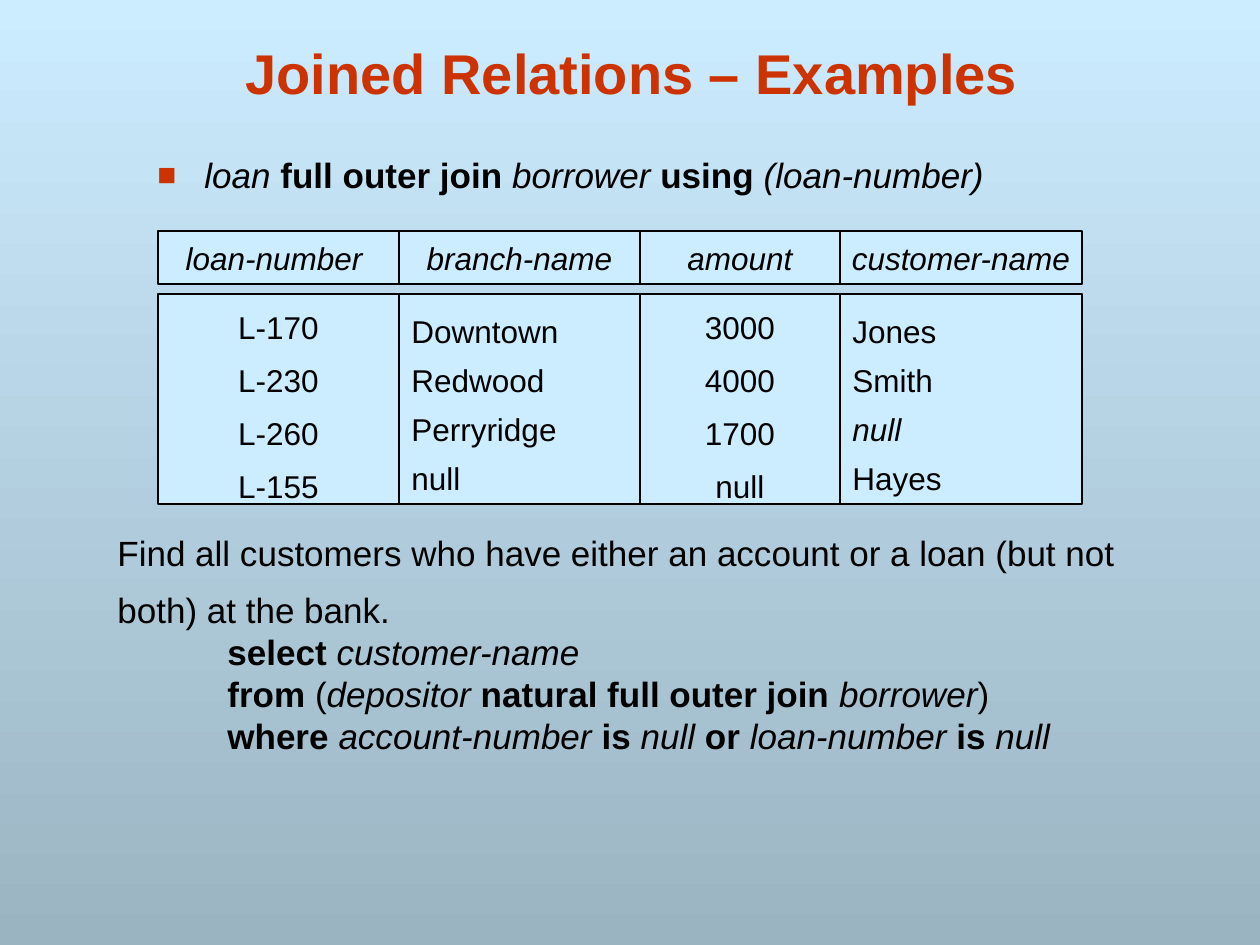
from lxml.etree import SubElement as Sub
from pptx import Presentation
from pptx.dml.color import RGBColor as RGB
from pptx.enum.shapes import MSO_SHAPE as Shape
from pptx.enum.text import MSO_ANCHOR as Anchor, PP_ALIGN as Align
from pptx.oxml.ns import qn
from pptx.util import Emu, Inches, Pt

INK = {"title": "CC3300", "text": "000000", "cell": "CCECFF", "base": "9BB4C2"}


def px(n):
    return Emu(round(n * 914400 / 126))


def write(para, runs, size, ink="text"):
    for text, style in runs:
        if text.startswith("\t"):
            para.add_line_break()
        run = para.add_run()
        run.text = text
        if "b" in style:
            run.font.bold = True
        if "i" in style:
            run.font.italic = True
    font = para.font
    font.name, font.size = "Arial", Pt(size)
    font.color.rgb = RGB.from_string(INK[ink])


deck = Presentation()
deck.slide_width, deck.slide_height = px(1260), px(945)
slide = deck.slides.add_slide(deck.slide_layouts[6])
fill = slide.background.fill
fill.gradient()
fill.gradient_angle = 270
for stop, name, pos in zip(fill.gradient_stops, ("cell", "base"), (0, 1)):
    stop.color.rgb = RGB.from_string(INK[name])
    stop.position = pos

frames = []
for box in ((76, 28, 1112, 84), (145, 147, 937, 57), (105, 525, 1050, 273)):
    frame = slide.shapes.add_textbox(*map(px, box)).text_frame
    frame.word_wrap = True
    frames.append(frame)
title, point, query = frames

title.vertical_anchor = Anchor.BOTTOM
para = title.paragraphs[0]
para.alignment = Align.CENTER
write(para, [("Joined Relations – Examples", "b")], 32, "title")

para = point.paragraphs[0]
props = para._p.get_or_add_pPr()
props.set("marL", str(px(47)))
props.set("indent", str(px(-47)))
Sub(Sub(props, qn("a:buClr")), qn("a:srgbClr"), val=INK["title"])
Sub(props, qn("a:buSzPct"), val="90000")
Sub(props, qn("a:buFont"), typeface="Arial")
Sub(props, qn("a:buChar"), char="■")
write(para, [("loan ", "i"), ("full outer join ", "b"), ("borrower ", "i"),
             ("using ", "b"), ("(loan-number)", "i")], 20)

cols = [
    (158, 399, "loan-number ", ["L-170", "L-230", "L-260", "L-155"], True),
    (399, 640, "branch-name", ["Downtown", "Redwood", "Perryridge", "null"], False),
    (640, 840, "amount", ["3000", "4000", "1700", "null"], True),
    (840, 1082, "customer-name", ["Jones", "Smith", "null", "Hayes"], False),
]
for left, right, head, items, mid in cols:
    for top, high, lines in ((231, 53, [head]), (294, 210, items)):
        cell = slide.shapes.add_shape(
            Shape.RECTANGLE, px(left), px(top), px(right - left), px(high))
        cell.shadow.inherit = False
        cell.fill.solid()
        cell.fill.fore_color.rgb = RGB.from_string(INK["cell"])
        cell.line.color.rgb = RGB.from_string(INK["text"])
        cell.line.width = Pt(1)
        frame = cell.text_frame
        frame.word_wrap = False
        frame.vertical_anchor = Anchor.MIDDLE
        for n, line in enumerate(lines):
            para = frame.add_paragraph() if n else frame.paragraphs[0]
            title_row = lines is not items
            para.alignment = Align.CENTER if mid or title_row else Align.LEFT
            if not title_row:
                para.line_spacing = 1.4 if mid else 1.3
            slant = title_row or (head == "customer-name" and line == "null")
            write(para, [(line, "i" if slant else "")], 18)

parts = [
    [("Find all customers who have either an account or a loan (but not", "")],
    [("both) at the bank.", ""),
     ("\tselect ", "b"), ("customer-name", "i"),
     ("\tfrom ", "b"), ("(", ""), ("depositor ", "i"),
     ("natural full outer join ", "b"), ("borrower", "i"), (")", ""),
     ("\twhere ", "b"), ("account-number", "i"), (" is ", "b"), ("null", "i"),
     (" or ", "b"), ("loan-number", "i"), (" is ", "b"), ("null", "i")],
]
for n, runs in enumerate(parts):
    para = query.add_paragraph() if n else query.paragraphs[0]
    props = para._p.get_or_add_pPr()
    props.set("marL", str(px(47)))
    props.set("indent", str(px(-47)))
    if n:
        para.space_before = Pt(8.8)
        tabs = Sub(props, qn("a:tabLst"))
        Sub(tabs, qn("a:tab"), pos=str(Inches(1)), algn="l")
    write(para, runs, 20)

deck.save("out.pptx")
